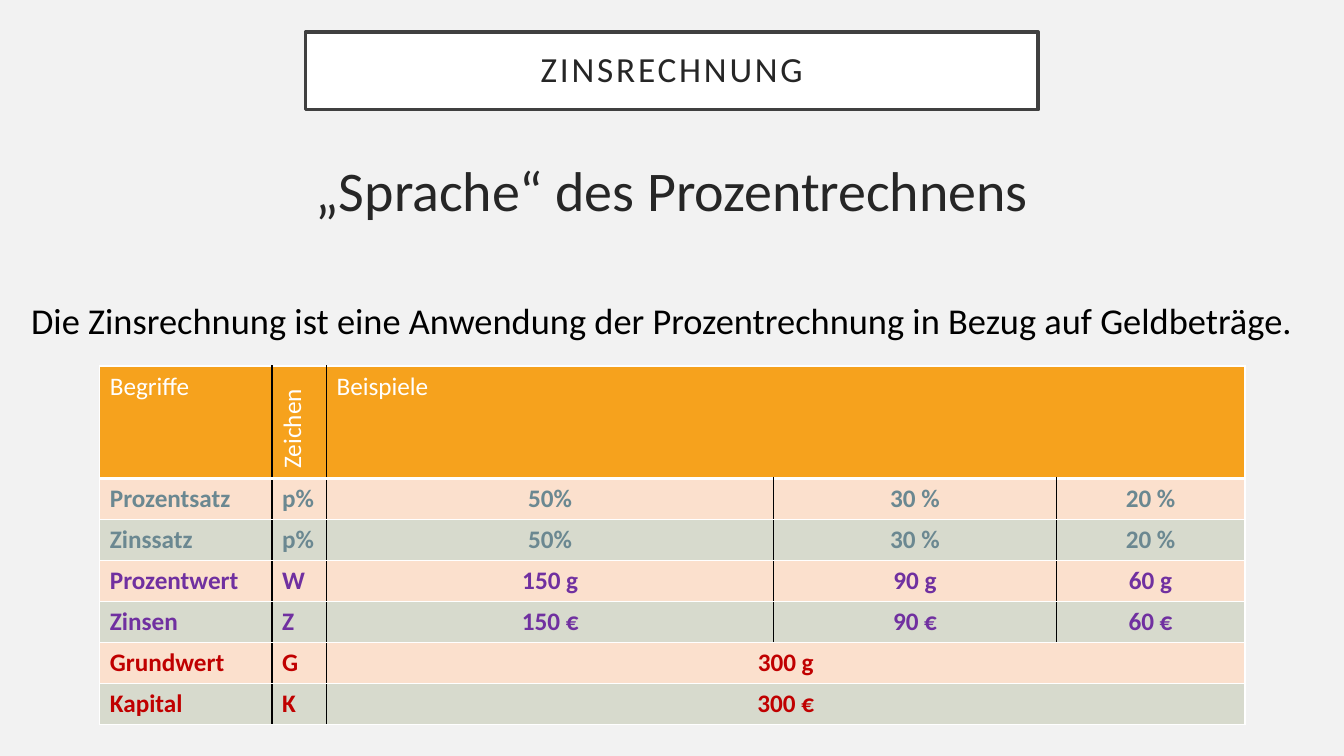
import pptx
import pptx.util
import pptx.dml.color
import pptx.enum.text
import pptx.oxml
import pptx.oxml.ns

Pt = pptx.util.Pt
RGBColor = pptx.dml.color.RGBColor
Align = pptx.enum.text.PP_ALIGN
Anchor = pptx.enum.text.MSO_ANCHOR
AutoSize = pptx.enum.text.MSO_AUTO_SIZE

BACKGROUND = RGBColor(0xF2, 0xF2, 0xF2)
WHITE = RGBColor(0xFF, 0xFF, 0xFF)
BLACK = RGBColor(0, 0, 0)
DARK = RGBColor(0x26, 0x26, 0x26)
FRAME = RGBColor(0x40, 0x40, 0x40)
ORANGE = RGBColor(0xF6, 0xA2, 0x1D)
PEACH = RGBColor(0xFB, 0xE0, 0xCD)
SAGE = RGBColor(0xD7, 0xDA, 0xCD)
TEAL = RGBColor(0x6B, 0x88, 0x91)
PURPLE = RGBColor(0x70, 0x30, 0xA0)
RED = RGBColor(0xC0, 0, 0)

FONT = "Calibri"
TITLE = "ZINSRECHNUNG"
SUBTITLE = "„Sprache“ des Prozentrechnens"
SENTENCE = "Die Zinsrechnung ist eine Anwendung der Prozentrechnung in Bezug auf Geldbeträge."
ROWS = [
    (WHITE, ["Begriffe", "Zeichen", "Beispiele"]),
    (TEAL, ["Prozentsatz", "p%", "50%", "30 %", "20 %"]),
    (TEAL, ["Zinssatz", "p%", "50%", "30 %", "20 %"]),
    (PURPLE, ["Prozentwert", "W", "150 g", "90 g", "60 g"]),
    (PURPLE, ["Zinsen", "Z", "150 €", "90 €", "60 €"]),
    (RED, ["Grundwert", "G", "300 g"]),
    (RED, ["Kapital", "K", "300 €"]),
]
COLUMN_WIDTHS = [123, 39, 319.5, 201.7, 134.8]
HEADER_HEIGHT = 80.4
ROW_HEIGHT = 29.3
LAST = len(COLUMN_WIDTHS) - 1
FIRST_EXAMPLE = 2


def write(frame, text, size, color, align=Align.LEFT, bold=False):
    frame.text = text
    para = frame.paragraphs[0]
    para.alignment = align
    for span in para.runs:
        span.font.name = FONT
        span.font.size = Pt(size)
        span.font.color.rgb = color
        span.font.bold = bold
    return para


def add_text(page, left, top, width, height, text, size, color, align, wrap):
    box = page.shapes.add_textbox(Pt(left), Pt(top), Pt(width), Pt(height))
    box.text_frame.word_wrap = wrap
    write(box.text_frame, text, size, color, align)


def set_borders(cell, borders):
    properties = cell._tc.get_or_add_tcPr()
    for position, (side, color, width) in enumerate(borders):
        line = pptx.oxml.parse_xml(
            f'<a:ln{side} {pptx.oxml.ns.nsdecls("a")} w="{Pt(width)}">'
            f'<a:solidFill><a:srgbClr val="{color}"/></a:solidFill></a:ln{side}>'
        )
        properties.insert(position, line)


def add_title(page):
    title = page.shapes.title
    title.left, title.top, title.width, title.height = Pt(218.2), Pt(23), Pt(523.4), Pt(55.4)
    title.fill.solid()
    title.fill.fore_color.rgb = WHITE
    title.line.color.rgb = FRAME
    title.line.width = Pt(2.5)
    frame = title.text_frame
    frame.auto_size = AutoSize.NONE
    frame.word_wrap = True
    frame.vertical_anchor = Anchor.MIDDLE
    frame.margin_left = frame.margin_right = Pt(14.4)
    frame.margin_top = frame.margin_bottom = Pt(14.4)
    para = write(frame, TITLE, 25.2, DARK, Align.CENTER)
    para.line_spacing = 0.9
    para.runs[0].font._element.set("spc", "200")


def add_terms_table(page):
    height = HEADER_HEIGHT + ROW_HEIGHT * (len(ROWS) - 1)
    table = page.shapes.add_table(
        len(ROWS), len(COLUMN_WIDTHS), Pt(71.3), Pt(261.5), Pt(sum(COLUMN_WIDTHS)), Pt(height)
    ).table
    for column, width in zip(table.columns, COLUMN_WIDTHS):
        column.width = Pt(width)
    for index, (color, texts) in enumerate(ROWS):
        header = index == 0
        merged = len(texts) <= LAST
        table.rows[index].height = Pt(HEADER_HEIGHT if header else ROW_HEIGHT)
        if merged:
            table.cell(index, FIRST_EXAMPLE).merge(table.cell(index, LAST))
        for number in range(len(COLUMN_WIDTHS)):
            cell = table.cell(index, number)
            inner_left = merged and number > FIRST_EXAMPLE
            inner_right = merged and number >= FIRST_EXAMPLE
            set_borders(cell, [
                ("L", WHITE if number == 0 or inner_left else BLACK, 1),
                ("R", WHITE if number == LAST or inner_right else BLACK, 1),
                ("T", WHITE, 1),
                ("B", WHITE, 3 if header else 1),
            ])
            cell.fill.solid()
            cell.fill.fore_color.rgb = ORANGE if header else PEACH if index % 2 else SAGE
            if number < len(texts):
                centred = number >= FIRST_EXAMPLE and not header
                align = Align.CENTER if centred else Align.LEFT
                write(cell.text_frame, texts[number], 18, color, align, not header)
    table.cell(0, 1)._tc.get_or_add_tcPr().set("vert", "vert270")


def main():
    deck = pptx.Presentation()
    deck.slide_width, deck.slide_height = Pt(960), Pt(540)
    page = deck.slides.add_slide(deck.slide_layouts.get_by_name("Title Only"))
    page.background.fill.solid()
    page.background.fill.fore_color.rgb = BACKGROUND
    add_title(page)
    add_text(page, 175.7, 107.3, 608.4, 244, SUBTITLE, 40, DARK, Align.CENTER, True)
    add_text(page, 15.1, 209.5, 932.4, 38.9, SENTENCE, 26, BLACK, Align.LEFT, False)
    add_terms_table(page)
    deck.save("out.pptx")


if __name__ == "__main__":
    main()
